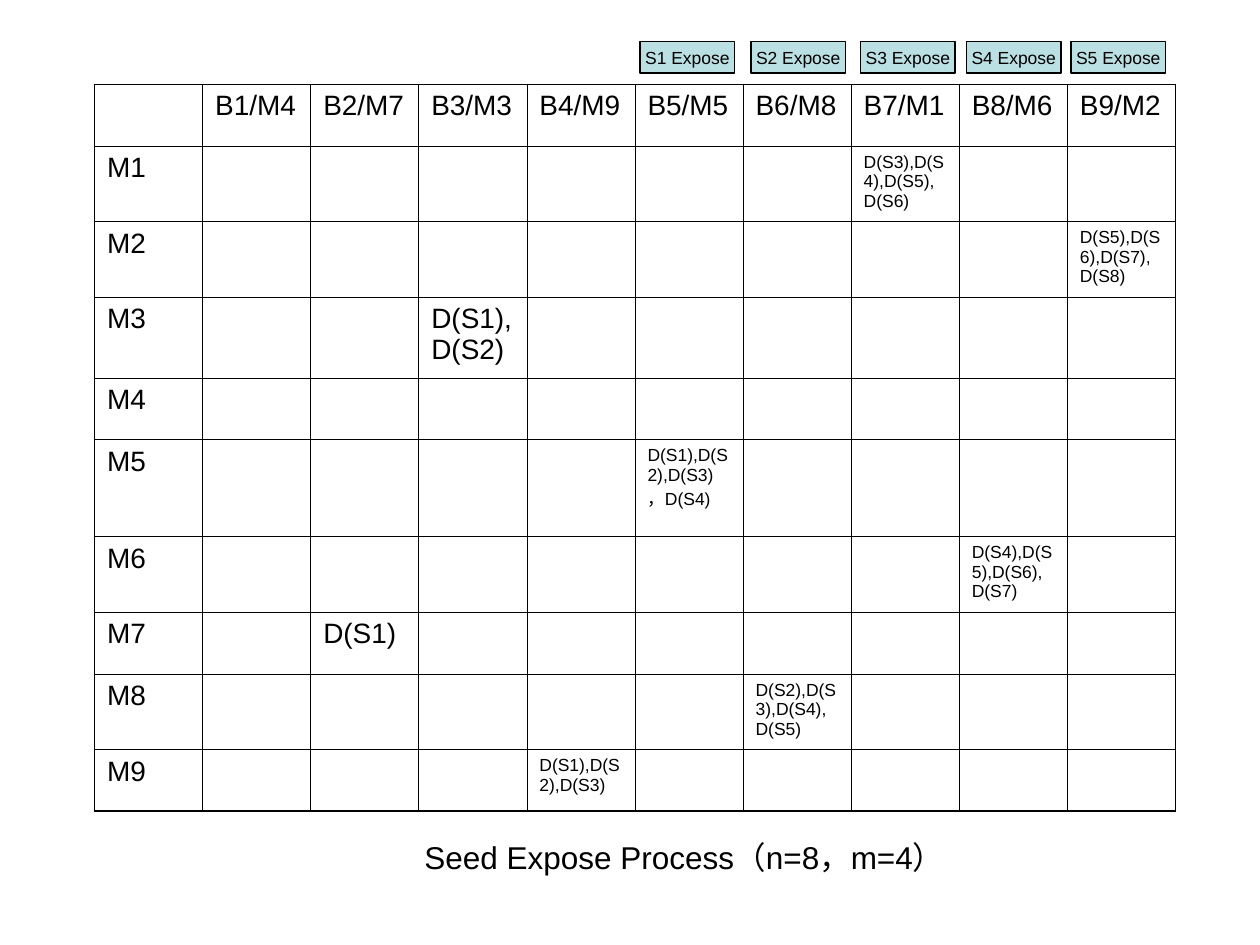
import pptx
import pptx.dml.color
import pptx.enum.shapes
import pptx.enum.text
import pptx.oxml.ns
import pptx.util
from lxml import etree

Inches = pptx.util.Inches
Pt = pptx.util.Pt
BLACK = "000000"
THIN, THICK = 0.45, 1.08


def color(hex_string):
    return pptx.dml.color.RGBColor.from_string(hex_string)


def add_border(cell, side, width):
    """Draw one side (L, R, T or B) of a table cell as a black line."""
    qn = pptx.oxml.ns.qn
    properties = cell._tc.get_or_add_tcPr()
    line = etree.SubElement(properties, qn(f"a:ln{side}"), w=str(int(Pt(width))))
    fill = etree.SubElement(line, qn("a:solidFill"))
    etree.SubElement(fill, qn("a:srgbClr"), val=BLACK)


presentation = pptx.Presentation()
presentation.slide_width = Inches(10)
presentation.slide_height = Inches(7.5)
slide = presentation.slides.add_slide(presentation.slide_layouts[6])

# Schedule: machines down, blocks across
blocks = ["B1/M4", "B2/M7", "B3/M3", "B4/M9", "B5/M5",
          "B6/M8", "B7/M1", "B8/M6", "B9/M2"]
row_heights = [0.49, 0.6, 0.6, 0.64, 0.49, 0.77, 0.6, 0.49, 0.6, 0.49]
row_count, column_count = len(row_heights), len(blocks) + 1
table_width = 8.58

texts = {(0, column): block for column, block in enumerate(blocks, 1)}
texts |= {(row, 0): f"M{row}" for row in range(1, row_count)}
texts |= {(3, 3): "D(S1),D(S2)", (7, 2): "D(S1)"}
small_texts = {
    (1, 7): "D(S3),D(S4),D(S5), D(S6)",
    (2, 9): "D(S5),D(S6),D(S7), D(S8)",
    (5, 5): "D(S1),D(S2),D(S3)，D(S4)",
    (6, 8): "D(S4),D(S5),D(S6), D(S7)",
    (8, 6): "D(S2),D(S3),D(S4), D(S5)",
    (9, 4): "D(S1),D(S2),D(S3)",
}
texts |= small_texts

table = slide.shapes.add_table(
    row_count, column_count, Inches(0.75), Inches(0.67),
    Inches(table_width), Inches(sum(row_heights))).table
table.first_row = False
table.horz_banding = False
for column in table.columns:
    column.width = Inches(table_width / column_count)

for row, height in enumerate(row_heights):
    table.rows[row].height = Inches(height)
    for column in range(column_count):
        cell = table.cell(row, column)
        outer_sides = {"L": column == 0, "R": column == column_count - 1,
                       "T": row == 0, "B": row == row_count - 1}
        for side, is_outer in outer_sides.items():
            add_border(cell, side, THICK if is_outer else THIN)
        cell.fill.background()
        cell.text = texts.get((row, column), "")
        is_small = (row, column) in small_texts
        paragraph = cell.text_frame.paragraphs[0]
        paragraph.space_before = Pt(2.5 if is_small else 4)
        paragraph.font.size = Pt(10 if is_small else 16)
        paragraph.font.name = "Arial"
        paragraph.font.color.rgb = color(BLACK)

# Caption
caption = slide.shapes.add_textbox(Inches(3.27), Inches(6.6), Inches(4.62), Inches(0.4))
caption.text_frame.word_wrap = False
paragraph = caption.text_frame.paragraphs[0]
paragraph.text = "Seed Expose Process（n=8，m=4）"
paragraph.font.size = Pt(18)
paragraph.font.name = "Arial"
paragraph.font.color.rgb = color(BLACK)

# Expose tags above the last five columns
for number, left in enumerate([5.08, 5.96, 6.83, 7.67, 8.5], 1):
    tag = slide.shapes.add_shape(
        pptx.enum.shapes.MSO_SHAPE.RECTANGLE,
        Inches(left), Inches(0.33), Inches(0.75), Inches(0.25))
    tag.shadow.inherit = False
    tag.fill.solid()
    tag.fill.fore_color.rgb = color("BBE0E3")
    tag.line.color.rgb = color(BLACK)
    tag.line.width = Pt(0.75)
    tag.text_frame.word_wrap = False
    tag.text_frame.vertical_anchor = pptx.enum.text.MSO_ANCHOR.MIDDLE
    paragraph = tag.text_frame.paragraphs[0]
    paragraph.text = f"S{number} Expose"
    paragraph.alignment = pptx.enum.text.PP_ALIGN.CENTER
    paragraph.font.size = Pt(10)
    paragraph.font.name = "Arial"
    paragraph.font.color.rgb = color(BLACK)

presentation.save("out.pptx")
